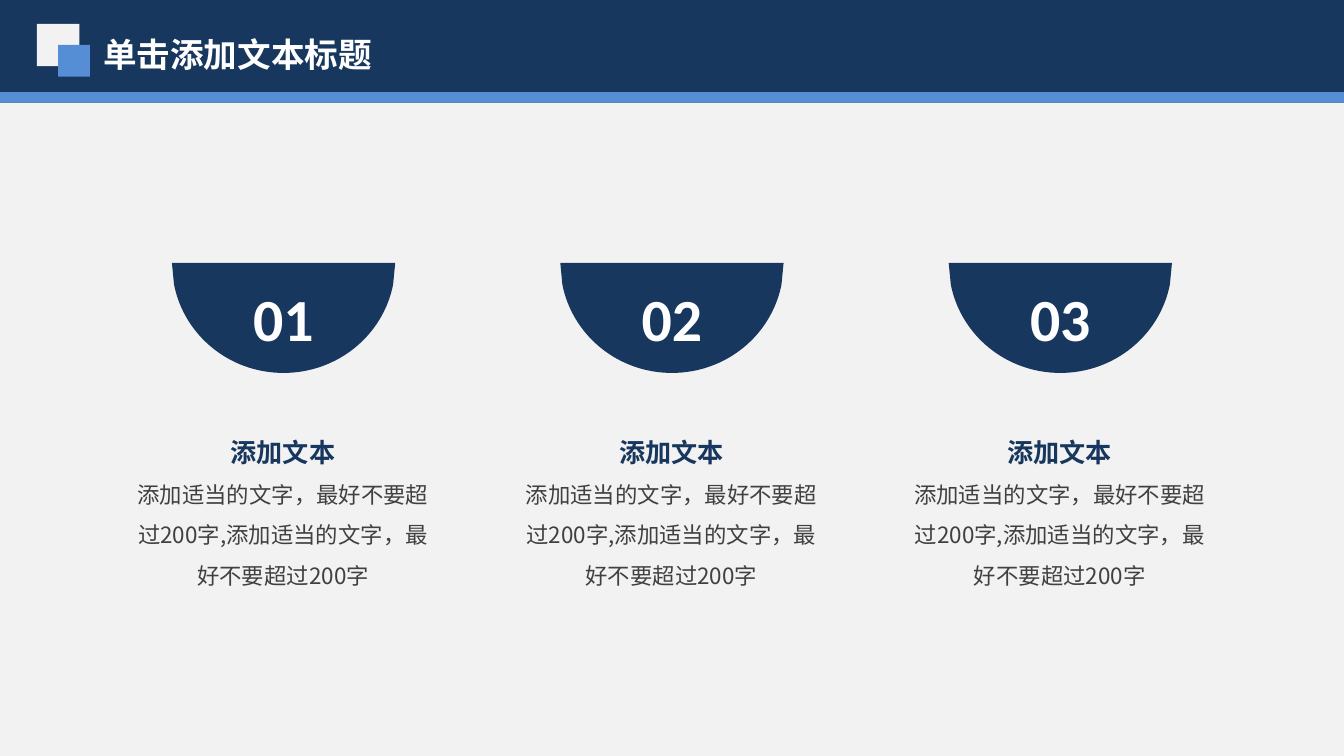
from lxml.etree import SubElement
from pptx import Presentation
from pptx.dml.color import RGBColor
from pptx.enum.shapes import MSO_SHAPE
from pptx.enum.text import MSO_ANCHOR, PP_ALIGN
from pptx.oxml.ns import qn
from pptx.util import Cm, Pt

NAVY, BLUE, PALE, WHITE, GREY = "17375E", "558ED5", "F2F2F2", "FFFFFF", "404040"
CJK, LATIN = "Noto Sans CJK SC", "Calibri"
WIDTH, HEIGHT = 25.4, 14.29
COLUMN_STEP = 7.34
HEADING = "添加文本"
BODY = "添加适当的文字，最好不要超过200字,添加适当的文字，最好不要超过200字"


def rgb(color):
    return RGBColor.from_string(color)


def curve(line, controls):
    """Turn a straight path segment into a cubic curve with two control points."""
    line.tag = qn("a:cubicBezTo")
    for i, (x, y) in enumerate(controls):
        pt = line.makeelement(qn("a:pt"), {"x": str(Cm(x)), "y": str(Cm(y))})
        line.insert(i, pt)


class Deck:
    """Holds the style and the current slide."""

    def __init__(self):
        self.prs = Presentation()
        self.prs.slide_width, self.prs.slide_height = Cm(WIDTH), Cm(HEIGHT)
        self.s = self.prs.slides.add_slide(self.prs.slide_layouts[6])

    def paint(self, sp, color):
        sp.shadow.inherit = False
        sp.fill.solid()
        sp.fill.fore_color.rgb = rgb(color)
        sp.line.fill.background()

    def rect(self, x, y, w, h, color):
        sp = self.s.shapes.add_shape(MSO_SHAPE.RECTANGLE, Cm(x), Cm(y), Cm(w), Cm(h))
        self.paint(sp, color)

    def run(self, p, text, size, color, font=CJK, bold=False):
        r = p.add_run()
        r.text = text
        r.font.size, r.font.bold, r.font.name = Pt(size), bold, font
        r.font.color.rgb = rgb(color)
        SubElement(r.font._element, qn("a:ea")).set("typeface", font)

    def bowl(self, x, y, w, h, label):
        """Draw a labelled half disc, flat side up, with short straight shoulders."""
        inset, drop = 0.04, 0.41
        corners = [(w, 0), (w - inset, drop), (w / 2, h), (inset, drop)]
        builder = self.s.shapes.build_freeform(Cm(x), Cm(y))
        builder.add_line_segments([(Cm(x + dx), Cm(y + dy)) for dx, dy in corners])
        sp = builder.convert_to_shape()
        path = next(sp._element.iter(qn("a:path")))
        lines = path.findall(qn("a:lnTo"))
        side, base = (0.23, 1.37), (w / 2 - 1.02, h)
        curve(lines[2], [(w - side[0], side[1]), (w - base[0], h)])
        curve(lines[3], [base, side])
        self.paint(sp, NAVY)
        tf = sp.text_frame
        tf.vertical_anchor = MSO_ANCHOR.MIDDLE
        p = tf.paragraphs[0]
        p.alignment = PP_ALIGN.CENTER
        self.run(p, label, 32, WHITE, LATIN, bold=True)

    def text_box(self, x, y, w, h):
        tf = self.s.shapes.add_textbox(Cm(x), Cm(y), Cm(w), Cm(h)).text_frame
        tf.word_wrap = True
        return tf

    def title(self, x, y, w, h, text):
        tf = self.text_box(x, y, w, h)
        self.run(tf.paragraphs[0], text, 18, WHITE, bold=True)

    def caption(self, x, y, w, h, heading, body):
        tf = self.text_box(x, y, w, h)
        tf.vertical_anchor = MSO_ANCHOR.MIDDLE
        self.run(tf.paragraphs[0], heading, 14, NAVY, bold=True)
        self.run(tf.add_paragraph(), body, 12, GREY)
        for p in tf.paragraphs:
            p.alignment = PP_ALIGN.CENTER
            p.line_spacing = 1.5


def main():
    deck = Deck()
    deck.rect(0, 0, WIDTH, HEIGHT, PALE)
    deck.rect(0, 0, WIDTH, 1.94, NAVY)
    deck.rect(0, 1.74, WIDTH, 0.2, BLUE)
    deck.title(1.7, 0.52, 6.4, 1.03, "单击添加文本标题")
    deck.rect(0.7, 0.45, 0.8, 0.8, PALE)
    deck.rect(1.1, 0.85, 0.6, 0.6, BLUE)

    for i in range(3):
        offset = i * COLUMN_STEP
        deck.bowl(3.25 + offset, 4.97, 4.22, 2.08, f"{i + 1:02d}")
        deck.caption(2.2 + offset, 7.74, 6.3, 3.6, HEADING, BODY)

    deck.prs.save("out.pptx")


if __name__ == "__main__":
    main()
